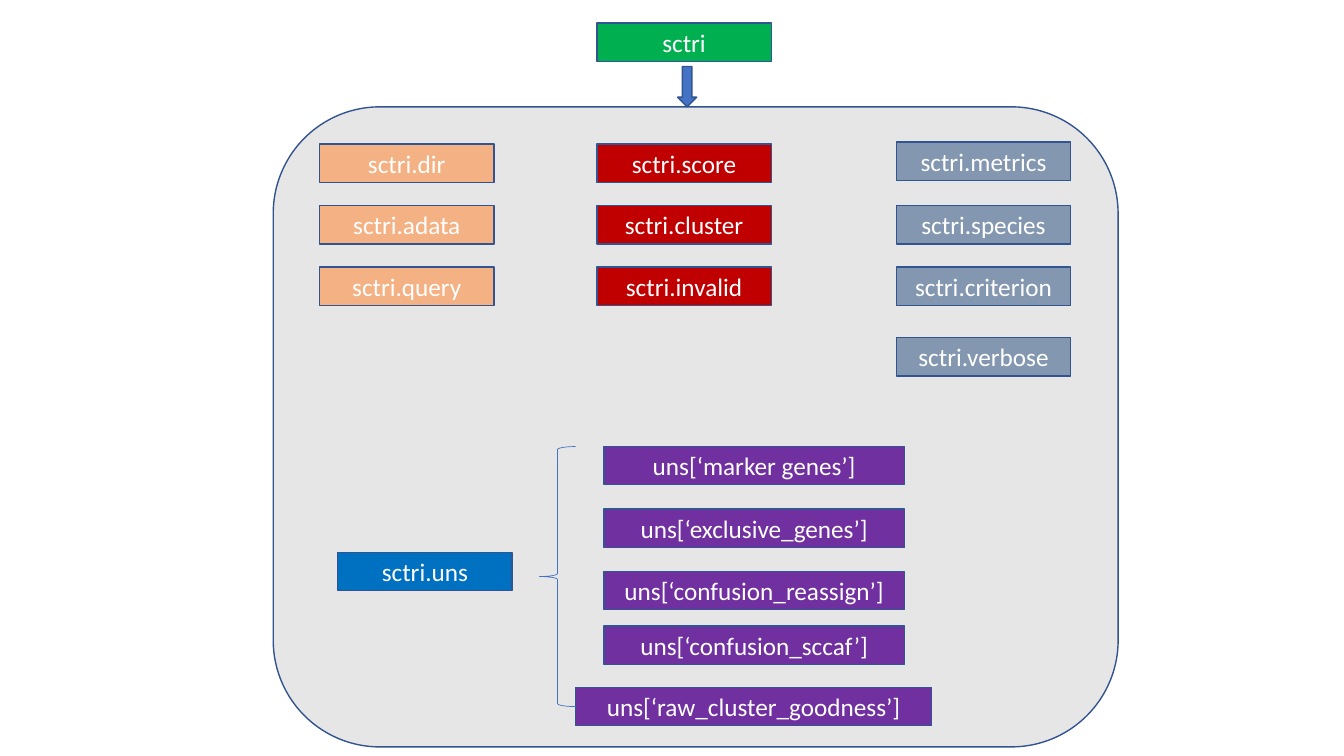
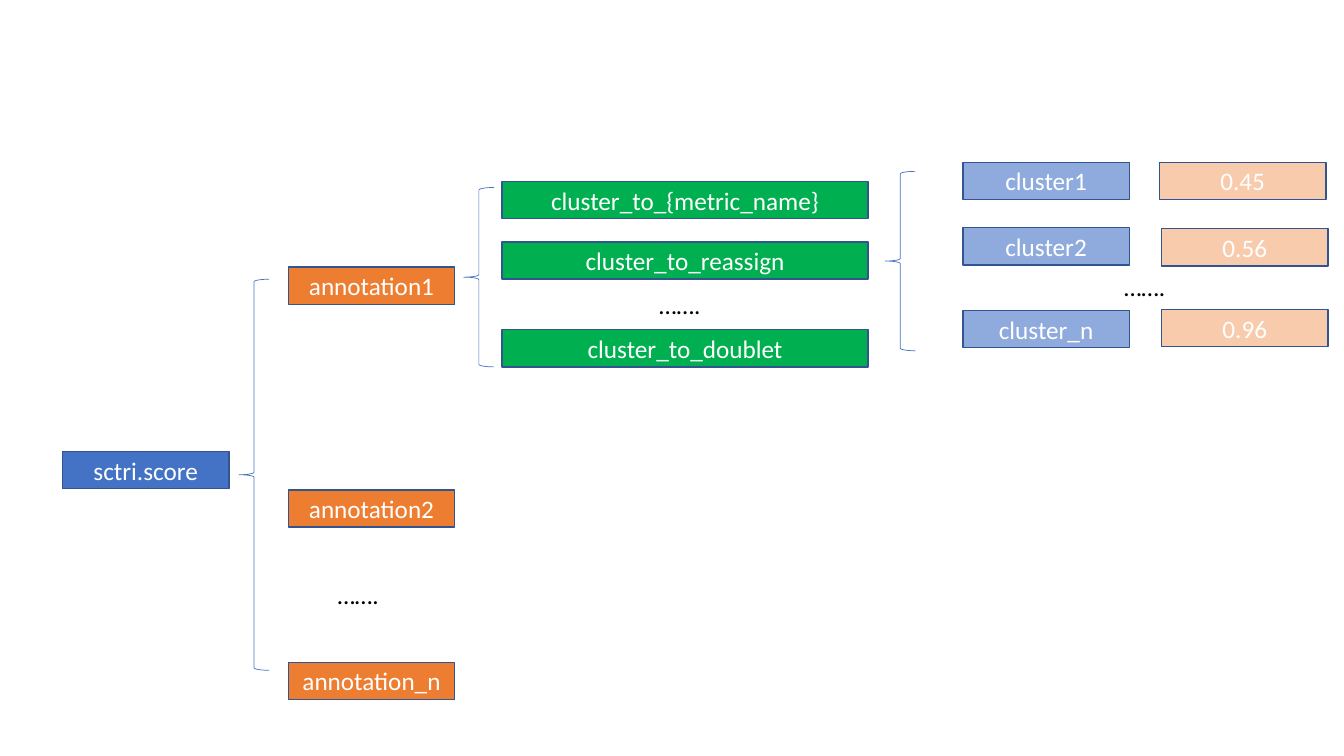
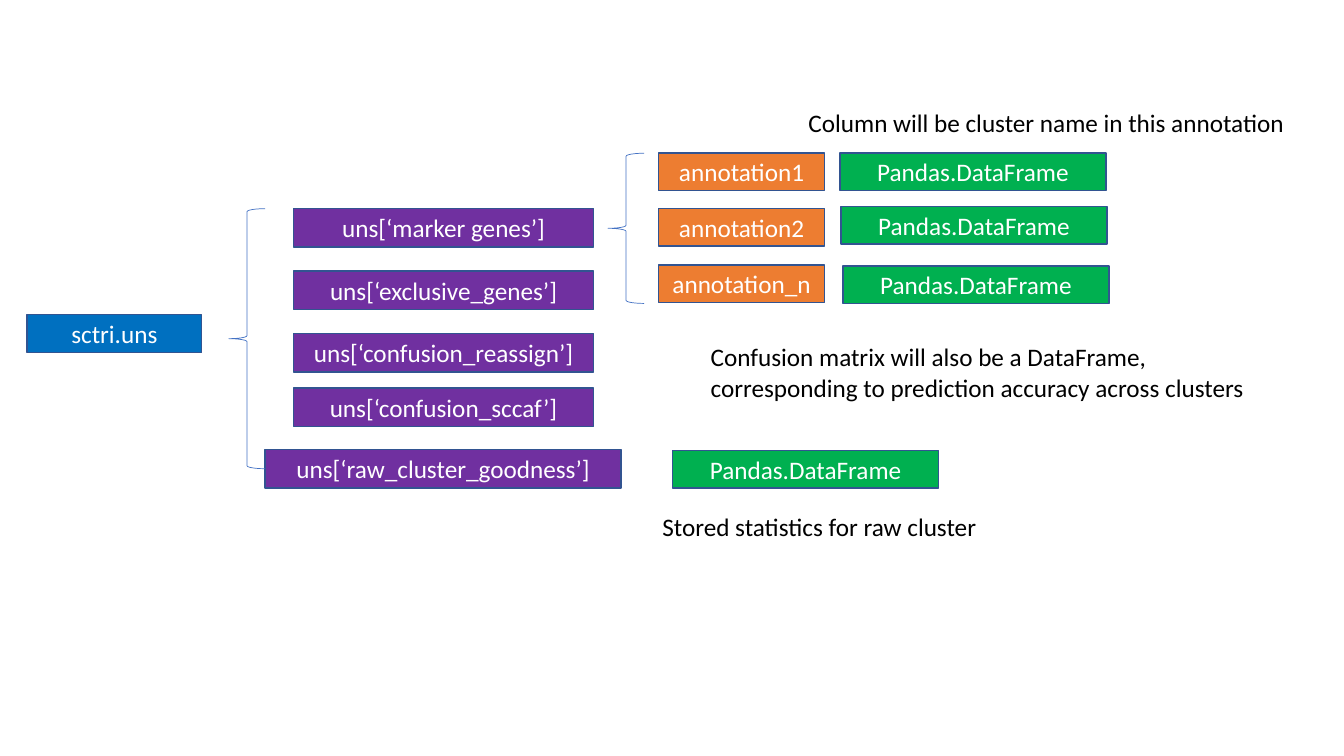
from pptx import Presentation
from pptx.dml.color import RGBColor
from pptx.enum.shapes import MSO_SHAPE
from pptx.enum.text import MSO_ANCHOR, MSO_AUTO_SIZE, PP_ALIGN
from pptx.util import Inches, Pt

RECTANGLE = MSO_SHAPE.RECTANGLE
ROUNDED = MSO_SHAPE.ROUNDED_RECTANGLE
LEFT_BRACE = MSO_SHAPE.LEFT_BRACE
DOWN_ARROW = MSO_SHAPE.DOWN_ARROW
MIDDLE = MSO_ANCHOR.MIDDLE
GROW = MSO_AUTO_SIZE.SHAPE_TO_FIT_TEXT
LEFT = PP_ALIGN.LEFT
CENTER = PP_ALIGN.CENTER

WHITE = RGBColor(0xFF, 0xFF, 0xFF)
BLACK = RGBColor(0x00, 0x00, 0x00)
OUTLINE = RGBColor(0x32, 0x54, 0x91)
BLUE = RGBColor(0x44, 0x72, 0xC4)
LIGHT_BLUE = RGBColor(0x8F, 0xAA, 0xDC)
DEEP_BLUE = RGBColor(0x00, 0x70, 0xC0)
SLATE = RGBColor(0x84, 0x97, 0xB0)
GREEN = RGBColor(0x00, 0xB0, 0x50)
RED = RGBColor(0xC0, 0x00, 0x00)
PURPLE = RGBColor(0x70, 0x30, 0xA0)
ORANGE = RGBColor(0xED, 0x7D, 0x31)
PEACH = RGBColor(0xF4, 0xB1, 0x83)
PALE_PEACH = RGBColor(0xF8, 0xCB, 0xAD)
GRAY = RGBColor(0xE7, 0xE6, 0xE6)

FONT = "Calibri"
TEXT_SIZE = Pt(18)
ATTRIBUTE_WIDTH, ATTRIBUTE_HEIGHT = 1.73, 0.38
NODE_WIDTH, NODE_HEIGHT = 1.65, 0.37
NOTE_HEIGHT = 0.4
ELLIPSIS = "……."


def add_figure(shapes, kind, box, fill=None, line=OUTLINE, weight=1):
    figure = shapes.add_shape(kind, *[Inches(length) for length in box])
    figure.shadow.inherit = False
    if fill is None:
        figure.fill.background()
    else:
        figure.fill.solid()
        figure.fill.fore_color.rgb = fill
    figure.line.color.rgb = line
    figure.line.width = Pt(weight)
    return figure


def add_label(shapes, text, box, fill=None, color=WHITE, align=CENTER):
    if fill is None:
        label = shapes.add_textbox(*[Inches(length) for length in box])
        label.text_frame.auto_size = GROW
    else:
        label = add_figure(shapes, RECTANGLE, box, fill)
        label.text_frame.vertical_anchor = MIDDLE
    label.text_frame.word_wrap = True
    paragraph = label.text_frame.paragraphs[0]
    paragraph.alignment = align
    run = paragraph.add_run()
    run.text = text
    run.font.name = FONT
    run.font.size = TEXT_SIZE
    run.font.color.rgb = color


deck = Presentation()
deck.slide_width = Inches(13.33)
deck.slide_height = Inches(7.5)
blank = deck.slide_layouts[6]
overview, score, uns = [deck.slides.add_slide(blank).shapes for _ in range(3)]

add_label(overview, "sctri", (5.92, 0.23, ATTRIBUTE_WIDTH, ATTRIBUTE_HEIGHT), fill=GREEN)
members = overview.add_group_shape().shapes
add_figure(members, ROUNDED, (2.71, 1.06, 8.38, 6.35), GRAY)
attribute_columns = [
    (3.17, PEACH, [("dir", 1.43), ("adata", 2.04), ("query", 2.65)]),
    (5.92, RED, [("score", 1.43), ("cluster", 2.04), ("invalid", 2.65)]),
    (8.89, SLATE, [("metrics", 1.41), ("species", 2.04), ("criterion", 2.65), ("verbose", 3.35)]),
]
for left, fill, attributes in attribute_columns:
    for attribute, top in attributes:
        add_label(members, f"sctri.{attribute}",
                  (left, top, ATTRIBUTE_WIDTH, ATTRIBUTE_HEIGHT), fill=fill)
add_figure(overview, DOWN_ARROW, (6.72, 0.66, 0.19, 0.4), BLUE)

uns_entries = [
    ("marker genes", 0.64, 0, 2.98),
    ("exclusive_genes", 0.64, 0.62, 2.98),
    ("confusion_reassign", 0.64, 1.24, 2.98),
    ("confusion_sccaf", 0.64, 1.78, 2.98),
    ("raw_cluster_goodness", 0.36, 2.39, 3.53),
]
for shapes, left, top in [(members, 5.35, 4.43), (uns, 2.27, 2.07)]:
    add_label(shapes, "sctri.uns",
              (left - 2, top + 1.05, ATTRIBUTE_WIDTH, ATTRIBUTE_HEIGHT), fill=DEEP_BLUE)
    for key, indent, drop, width in uns_entries:
        add_label(shapes, f"uns[‘{key}’]",
                  (left + indent, top + drop, width, ATTRIBUTE_HEIGHT), fill=PURPLE)
    add_figure(shapes, LEFT_BRACE, (left, top, 0.36, 2.58), line=BLUE, weight=0.5)

score_columns = [
    (0.62, NODE_WIDTH, BLUE, [("sctri.score", 4.48)]),
    (2.86, NODE_WIDTH, ORANGE, [("annotation1", 2.65), ("annotation2", 4.86), ("annotation_n", 6.57)]),
    (4.98, 3.63, GREEN, [("cluster_to_{metric_name}", 1.8), ("cluster_to_reassign", 2.4),
                         ("cluster_to_doublet", 3.27)]),
    (9.55, NODE_WIDTH, LIGHT_BLUE, [("cluster1", 1.61), ("cluster2", 2.26), ("cluster_n", 3.08)]),
    (11.5, NODE_WIDTH, PALE_PEACH, [("0.45", 1.61)]),
    (11.52, NODE_WIDTH, PALE_PEACH, [("0.56", 2.27), ("0.96", 3.07)]),
]
for left, width, fill, nodes in score_columns:
    for node, top in nodes:
        add_label(score, node, (left, top, width, NODE_HEIGHT), fill=fill)
for left, top in [(3.25, 5.7), (6.44, 2.82), (11.05, 2.64)]:
    add_label(score, ELLIPSIS, (left, top, 1.07, NOTE_HEIGHT), color=BLACK, align=LEFT)
for left, top, height in [(2.37, 2.77, 3.88), (4.6, 1.86, 1.78), (8.78, 1.7, 1.78)]:
    add_figure(score, LEFT_BRACE, (left, top, 0.3, height), line=BLUE, weight=0.5)

for annotation, top in [("annotation1", 1.52), ("annotation2", 2.07), ("annotation_n", 2.63)]:
    add_label(uns, annotation, (6.53, top, NODE_WIDTH, NODE_HEIGHT), fill=ORANGE)
add_figure(uns, LEFT_BRACE, (6.03, 1.52, 0.36, 1.49), line=BLUE, weight=0.5)
for left, top in [(8.33, 1.52), (8.34, 2.05), (8.36, 2.64), (6.67, 4.47)]:
    add_label(uns, "Pandas.DataFrame", (left, top, 2.64, NODE_HEIGHT), fill=GREEN)
uns_notes = [
    ("Column will be cluster name in this annotation", (7.92, 1.02, 5.41, NOTE_HEIGHT)),
    ("Stored statistics for raw cluster", (6.47, 5.02, 4.15, NOTE_HEIGHT)),
    ("Confusion matrix will also be a DataFrame, corresponding to prediction accuracy across clusters",
     (6.95, 3.34, 5.87, 0.71)),
]
for note, box in uns_notes:
    add_label(uns, note, box, color=BLACK, align=LEFT)

deck.save("out.pptx")
